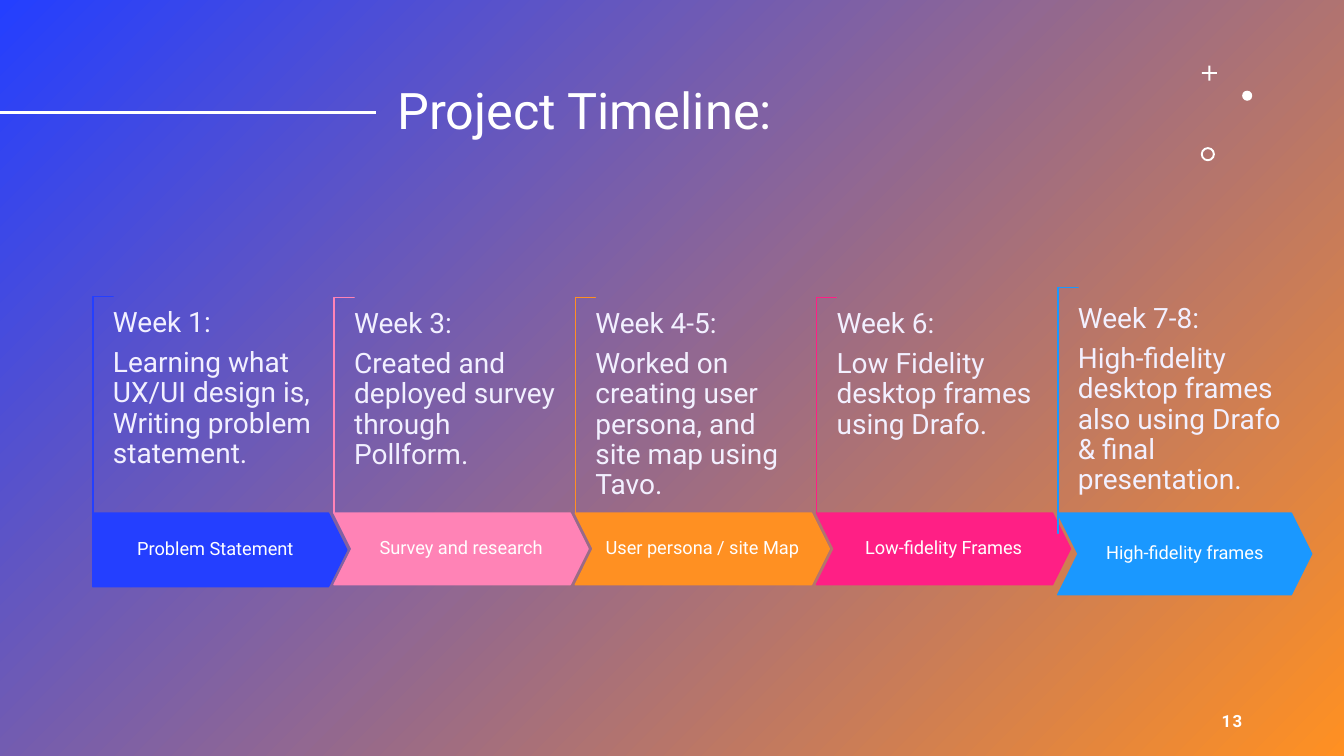
from dataclasses import dataclass

from lxml import etree
from pptx import Presentation
from pptx.dml.color import RGBColor
from pptx.enum.shapes import MSO_CONNECTOR, MSO_SHAPE
from pptx.enum.text import MSO_ANCHOR, MSO_AUTO_SIZE, PP_ALIGN
from pptx.oxml.ns import qn
from pptx.util import Inches, Pt

RECTANGLE, CORNER = MSO_SHAPE.RECTANGLE, MSO_SHAPE.CORNER
PENTAGON, CHEVRON = MSO_SHAPE.PENTAGON, MSO_SHAPE.CHEVRON
CROSS, OVAL, DONUT = MSO_SHAPE.CROSS, MSO_SHAPE.OVAL, MSO_SHAPE.DONUT
STRAIGHT = MSO_CONNECTOR.STRAIGHT
TOP, MIDDLE = MSO_ANCHOR.TOP, MSO_ANCHOR.MIDDLE
LEFT, CENTER, RIGHT = PP_ALIGN.LEFT, PP_ALIGN.CENTER, PP_ALIGN.RIGHT
NO_AUTOFIT = MSO_AUTO_SIZE.NONE

COLORS = {
    "white": "FFFFFF",
    "lavender": "F2F0FF",
    "blue": "243FFF",
    "pink": "FF83B6",
    "orange": "FF9022",
    "magenta": "FF1F85",
    "sky": "1A98FF",
}
FONT = "Roboto"
FIRST_LEFT, PITCH = 0.92, 2.3925
ARROW_TOP, ARROW_WIDTH = 5.09, 2.52
BRACKET_DEPTH = 0.2


@dataclass
class Stage:
    weeks: str
    work: str
    label: str
    color: str
    arrow: MSO_SHAPE
    arrow_height: float
    bracket_top: float
    bracket_length: float
    text_top: float
    text_height: float


@dataclass
class Ornament:
    kind: MSO_SHAPE
    left: float
    top: float
    size: float
    adjustment: float | None = None


STAGES = [
    Stage("Week 1:", "Learning what UX/UI design is, Writing problem statement.",
          "Problem Statement", "blue", PENTAGON, 0.73, 2.94, 2.19, 3.06, 1.94),
    Stage("Week 3:", "Created and deployed survey through Pollform.",
          "Survey and research", "pink", CHEVRON, 0.71, 2.95, 2.14, 3.07, 1.9),
    Stage("Week 4-5:", "Worked on creating user persona, and site map using Tavo.",
          "User persona / site Map", "orange", CHEVRON, 0.71, 2.95, 2.14, 3.07, 1.44),
    Stage("Week 6:", "Low Fidelity desktop frames using Drafo.",
          "Low-fidelity Frames", "magenta", CHEVRON, 0.71, 2.95, 2.14, 3.07, 1.44),
    Stage("Week 7-8:", "High-fidelity desktop frames also using Drafo & final presentation.",
          "High-fidelity frames", "sky", CHEVRON, 0.81, 2.85, 2.44, 3.02, 1.64),
]
ORNAMENTS = [
    Ornament(CROSS, 11.92, 0.65, 0.15, 0.44),
    Ornament(OVAL, 12.32, 0.9, 0.1),
    Ornament(DONUT, 11.91, 1.46, 0.14, 0.14),
]


def rgb(color: str) -> RGBColor:
    return RGBColor.from_string(COLORS[color])


def add_solid(slide, kind, box, fill: str, line: str | None = None, adjustments=()):
    solid = slide.shapes.add_shape(kind, *map(Inches, box))
    solid.shadow.inherit = False
    solid.fill.solid()
    solid.fill.fore_color.rgb = rgb(fill)
    if line:
        solid.line.color.rgb = rgb(line)
        solid.line.width = Pt(1)
    else:
        solid.line.fill.background()
    for index, value in enumerate(adjustments):
        solid.adjustments[index] = value
    return solid


def write(frame, lines: list[str], size: float, color: str = "white", align=LEFT,
          anchor=MIDDLE, insets=(0.1, 0.05), bold=False, spacing=0.9) -> None:
    """Fill a text frame; insets are the horizontal and vertical margins in inches."""
    across, down = map(Inches, insets)
    frame_format = {
        "word_wrap": True, "auto_size": NO_AUTOFIT, "vertical_anchor": anchor,
        "margin_left": across, "margin_right": across,
        "margin_top": down, "margin_bottom": down,
    }
    for name, value in frame_format.items():
        setattr(frame, name, value)
    frame.text = "\n".join(lines)
    font_format = {"name": FONT, "size": Pt(size), "bold": bold}
    for index, paragraph in enumerate(frame.paragraphs):
        paragraph.alignment = align
        paragraph.line_spacing = spacing
        paragraph.space_before = Pt(0)
        paragraph.space_after = Pt(7 if index < len(lines) - 1 else 0)
        font = paragraph.runs[0].font
        for name, value in font_format.items():
            setattr(font, name, value)
        font.color.rgb = rgb(color)


def add_backdrop(slide, width, height) -> None:
    """Put the diagonal gradient behind the title."""
    backdrop = slide.shapes.add_shape(RECTANGLE, 0, 0, width, height)
    backdrop.shadow.inherit = False
    backdrop.line.fill.background()
    backdrop.fill.gradient()
    backdrop.fill.gradient_angle = 315
    for stop, color in zip(backdrop.fill.gradient_stops, ("blue", "orange")):
        stop.color.rgb = rgb(color)
    slide.shapes.title.element.addprevious(backdrop.element)


def add_title(slide) -> None:
    title = slide.shapes.title
    place = {"left": 3.84, "top": 0.4, "width": 7.83, "height": 1.45}
    for name, value in place.items():
        setattr(title, name, Inches(value))
    write(title.text_frame, ["Project Timeline:"], 36)
    rule = slide.shapes.add_connector(
        STRAIGHT, 0, Inches(1.12), Inches(3.73), Inches(1.12))
    rule.line.color.rgb = rgb("white")
    rule.line.width = Pt(2)
    etree.SubElement(rule.element.spPr, qn("a:effectLst"))


def add_stage(slide, stage: Stage, left: float) -> None:
    # The bracket is laid flat about its centre, then turned upright.
    bracket_box = (left + (BRACKET_DEPTH - stage.bracket_length) / 2,
                   stage.bracket_top + (stage.bracket_length - BRACKET_DEPTH) / 2,
                   stage.bracket_length, BRACKET_DEPTH)
    bracket = add_solid(slide, CORNER, bracket_box, "white", stage.color, (0.01, 0.01))
    bracket.rotation = 90
    arrow = add_solid(slide, stage.arrow,
                      (left, ARROW_TOP, ARROW_WIDTH, stage.arrow_height),
                      stage.color, stage.color, (0.25,))
    write(arrow.text_frame, [stage.label], 13, align=CENTER, insets=(0.09, 0.18))
    summary = slide.shapes.add_textbox(
        *map(Inches, (left + BRACKET_DEPTH, stage.text_top, 2.05, stage.text_height)))
    write(summary.text_frame, [stage.weeks, stage.work], 20, "lavender",
          anchor=TOP, insets=(0, 0))


def add_page_number(slide) -> None:
    page_number = slide.shapes.add_textbox(*map(Inches, (9.42, 6.95, 3, 0.4)))
    write(page_number.text_frame, ["13"], 12, align=RIGHT, bold=True, spacing=1.0)
    run = page_number.text_frame.paragraphs[0].runs[0]
    run.font._element.set("spc", "100")


def main() -> None:
    deck = Presentation()
    deck.slide_width, deck.slide_height = Inches(13.33), Inches(7.5)
    slide = deck.slides.add_slide(deck.slide_layouts.get_by_name("Title Only"))
    add_backdrop(slide, deck.slide_width, deck.slide_height)
    add_title(slide)
    for ornament in ORNAMENTS:
        adjustments = () if ornament.adjustment is None else (ornament.adjustment,)
        add_solid(slide, ornament.kind,
                  (ornament.left, ornament.top, ornament.size, ornament.size),
                  "white", adjustments=adjustments)
    add_page_number(slide)
    for index, stage in enumerate(STAGES):
        add_stage(slide, stage, FIRST_LEFT + index * PITCH)
    deck.save("out.pptx")


if __name__ == "__main__":
    main()
